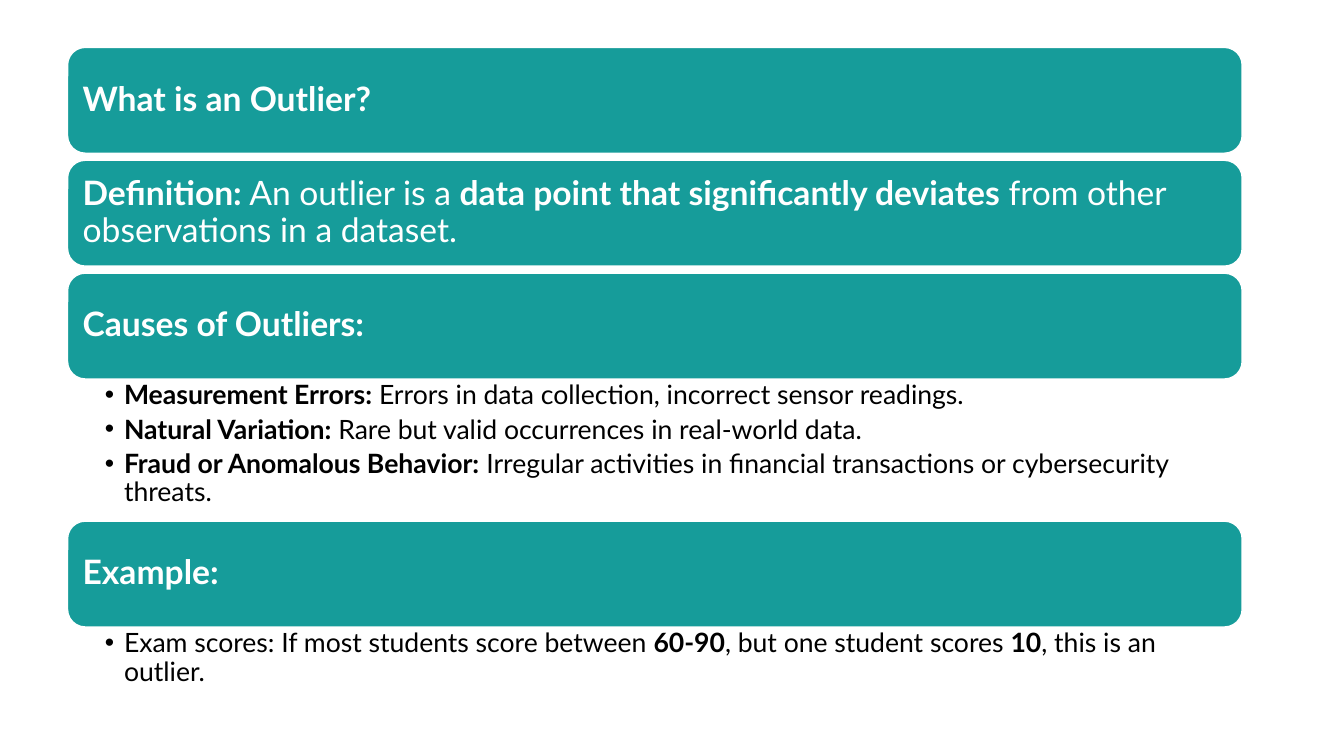
from dataclasses import dataclass

from lxml.etree import SubElement
from pptx import Presentation
from pptx.dml.color import RGBColor
from pptx.enum.shapes import MSO_SHAPE as SHAPE
from pptx.enum.text import MSO_ANCHOR as ANCHOR, PP_ALIGN as ALIGN
from pptx.oxml.ns import qn
from pptx.slide import Slide
from pptx.text.text import TextFrame
from pptx.util import Inches, Pt

COLORS = {"teal": "169C9A", "white": "FFFFFF", "black": "000000"}
FONT = "Lato"
LEFT, TOP, WIDTH = 0.67, 0.47, 11.65
BAR_HEIGHT, GAP = 1.05, 0.07


@dataclass
class Section:
    heading: str  # ** switches bold on and off
    bullets: tuple[str, ...] = ()
    bullets_height: float = 0


SECTIONS = [
    Section("**What is an Outlier?**"),
    Section("**Definition:** An outlier is a **data point that significantly deviates** "
            "from other observations in a dataset."),
    Section("**Causes of Outliers:**", (
        "**Measurement Errors:** Errors in data collection, incorrect sensor readings.",
        "**Natural Variation:** Rare but valid occurrences in real-world data.",
        "**Fraud or Anomalous Behavior:** Irregular activities in financial transactions "
        "or cybersecurity threats.",
    ), 1.41),
    Section("**Example:**", (
        "Exam scores: If most students score between **60-90**, but one student "
        "scores **10**, this is an outlier.",
    ), 0.67),
]


def rgb(name: str) -> RGBColor:
    return RGBColor.from_string(COLORS[name])


def write(tf: TextFrame, text: str, *, size: float, color: str, after: float,
          bullet: bool = False) -> None:
    """Add one paragraph, using the empty first one if it is free."""
    p = tf.paragraphs[0] if not tf.text else tf.add_paragraph()
    p.alignment = ALIGN.LEFT
    p.line_spacing = 0.9
    p.space_after = Pt(after)
    for i, part in enumerate(text.split("**")):
        if part:
            r = p.add_run()
            r.text = part
            r.font.name, r.font.size, r.font.bold = FONT, Pt(size), i % 2 == 1
            r.font.color.rgb = rgb(color)
    if bullet:
        p.level = 1
        pPr = p._p.get_or_add_pPr()
        pPr.set("marL", str(Inches(0.19)))
        pPr.set("indent", str(Inches(-0.19)))
        SubElement(pPr, qn("a:buFont"), typeface="Arial")
        SubElement(pPr, qn("a:buChar"), char="•")


def set_frame(tf: TextFrame, left: float, right: float, vertical: float,
              anchor: ANCHOR) -> None:
    tf.word_wrap = True
    tf.vertical_anchor = anchor
    tf.margin_left, tf.margin_right = Inches(left), Inches(right)
    tf.margin_top = tf.margin_bottom = Inches(vertical)


def add_bar(s: Slide, top: float, heading: str) -> None:
    sp = s.shapes.add_shape(SHAPE.ROUNDED_RECTANGLE, Inches(LEFT), Inches(top),
                            Inches(WIDTH), Inches(BAR_HEIGHT))
    sp.shadow.inherit = False
    sp.fill.solid()
    sp.fill.fore_color.rgb = rgb("teal")
    sp.line.color.rgb = rgb("white")
    sp.line.width = Pt(1)
    set_frame(sp.text_frame, 0.1, 0.1, 0.1, ANCHOR.MIDDLE)
    write(sp.text_frame, heading, size=24, color="white", after=8.4)


def add_bullets(s: Slide, top: float, section: Section) -> None:
    sp = s.shapes.add_textbox(Inches(LEFT), Inches(top), Inches(WIDTH),
                              Inches(section.bullets_height))
    set_frame(sp.text_frame, 0.37, 0.19, 0.03, ANCHOR.TOP)
    for text in section.bullets:
        write(sp.text_frame, text, size=19, color="black", after=3.8, bullet=True)


def main() -> None:
    prs = Presentation()
    prs.slide_width, prs.slide_height = Inches(13.33), Inches(7.5)
    s = prs.slides.add_slide(prs.slide_layouts[6])

    # Stack of bars, each followed by its bullets or a gap
    top = TOP
    for section in SECTIONS:
        add_bar(s, top, section.heading)
        top += BAR_HEIGHT
        if section.bullets:
            add_bullets(s, top, section)
        top += section.bullets_height or GAP

    prs.save("out.pptx")


if __name__ == "__main__":
    main()
